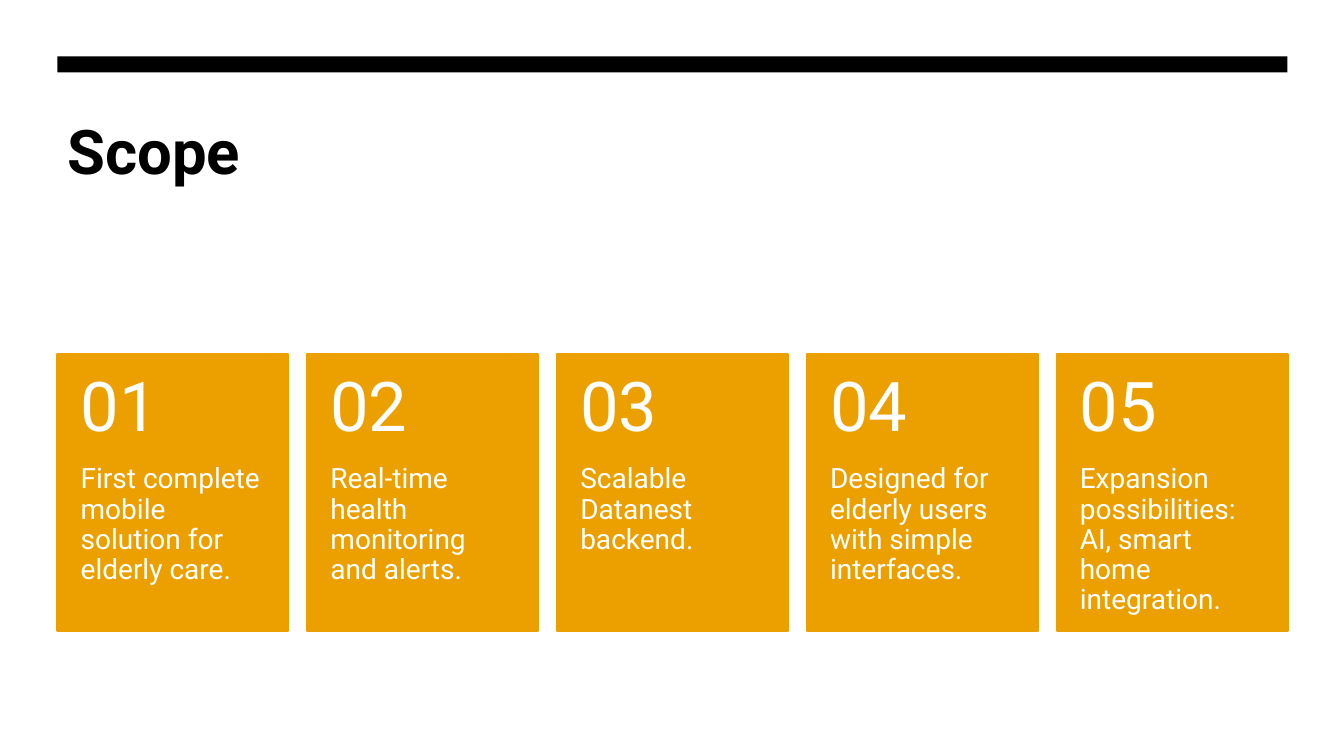
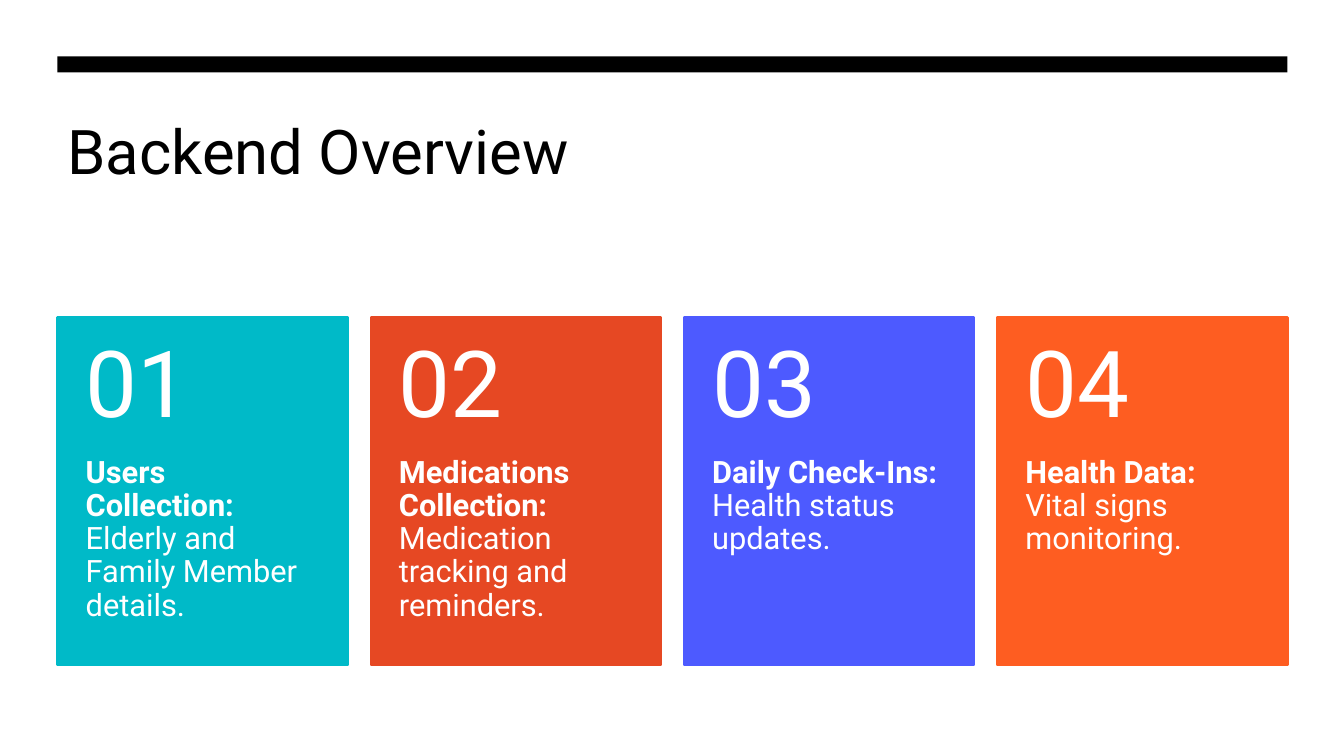
import pptx
import pptx.util
import pptx.dml.color
import pptx.enum.shapes
import pptx.enum.text

Inches = pptx.util.Inches
ANCHOR = pptx.enum.text.MSO_ANCHOR
RECTANGLE = pptx.enum.shapes.MSO_SHAPE.RECTANGLE
BLACK, WHITE, AMBER = "000000", "FFFFFF", "EBA000"
LEFT, WIDTH = 0.57, 12.2


def paint(color_format, value):
    color_format.rgb = pptx.dml.color.RGBColor.from_string(value)


def write(frame, runs, size, color, spacing, format_values):
    for name, value in format_values.items():
        setattr(frame, name, value)
    paragraph = frame.paragraphs[0]
    paragraph.alignment = pptx.enum.text.PP_ALIGN.LEFT
    paragraph.line_spacing = spacing
    for words, bold in runs:
        run = paragraph.add_run()
        run.text = words
        for name, value in {"name": "Roboto", "size": pptx.util.Pt(size), "bold": bold}.items():
            setattr(run.font, name, value)
        paint(run.font.color, color)


title_format = {"word_wrap": True, "auto_size": pptx.enum.text.MSO_AUTO_SIZE.NONE,
                "vertical_anchor": ANCHOR.TOP}

sections = [
    {"title": "Scope", "bold": True, "top": 3.51, "width": 2.29, "height": 2.75,
     "side": 0.23, "number_size": 49, "body_size": 20,
     "cards": [
         (AMBER, [("First complete mobile solution for elderly care.", False)]),
         (AMBER, [("Real-time health monitoring and alerts.", False)]),
         (AMBER, [("Scalable Datanest backend.", False)]),
         (AMBER, [("Designed for elderly users with simple interfaces.", False)]),
         (AMBER, [("Expansion possibilities: AI, smart home integration.", False)]),
     ]},
    {"title": "Backend Overview", "bold": False, "top": 3.15, "width": 2.88, "height": 3.45,
     "side": 0.28, "number_size": 66, "body_size": 22,
     "cards": [
         ("00BAC8", [("Users Collection:", True), (" Elderly and Family Member details.", False)]),
         ("E64823", [("Medications Collection:", True), (" Medication tracking and reminders.", False)]),
         ("4D5AFF", [("Daily Check-Ins:", True), (" Health status updates.", False)]),
         ("FE5D21", [("Health Data:", True), (" Vital signs monitoring.", False)]),
     ]},
]

deck = pptx.Presentation()
deck.slide_width, deck.slide_height = Inches(13.33), Inches(7.5)

for section in sections:
    slide = deck.slides.add_slide(deck.slide_layouts[5])
    bar = slide.shapes.add_shape(RECTANGLE, Inches(LEFT), Inches(0.56), Inches(WIDTH), Inches(0.16))
    bar.shadow.inherit = False
    bar.fill.solid()
    paint(bar.fill.fore_color, BLACK)
    bar.line.fill.background()

    title = slide.shapes.title
    for name, value in {"left": LEFT, "top": 1.07, "width": WIDTH, "height": 1.6}.items():
        setattr(title, name, Inches(value))
    write(title.text_frame, [(section["title"], section["bold"])], 44, BLACK, 1.0, title_format)

    top, width, height = section["top"], section["width"], section["height"]
    number_height = height * 0.4
    pitch = (WIDTH - width) / (len(section["cards"]) - 1)
    sides = {"word_wrap": True, "margin_left": Inches(section["side"]),
             "margin_right": Inches(section["side"])}
    number_format = {**sides, "margin_top": Inches(0.18), "margin_bottom": Inches(0.18),
                     "vertical_anchor": ANCHOR.MIDDLE}
    body_format = {**sides, "margin_top": 0, "margin_bottom": Inches(0.36),
                   "vertical_anchor": ANCHOR.TOP}

    for index, (color, body_runs) in enumerate(section["cards"]):
        left = LEFT + index * pitch
        card = slide.shapes.add_shape(RECTANGLE, Inches(left), Inches(top), Inches(width), Inches(height))
        card.shadow.inherit = False
        card.fill.solid()
        paint(card.fill.fore_color, color)
        paint(card.line.color, color)
        card.line.width = pptx.util.Pt(1.5)

        body = slide.shapes.add_textbox(Inches(left), Inches(top + number_height),
                                        Inches(width), Inches(height - number_height))
        write(body.text_frame, body_runs, section["body_size"], WHITE, 0.9, body_format)
        number = slide.shapes.add_textbox(Inches(left), Inches(top), Inches(width), Inches(number_height))
        write(number.text_frame, [(f"{index + 1:02d}", False)], section["number_size"],
              WHITE, 0.9, number_format)

deck.save("out.pptx")
